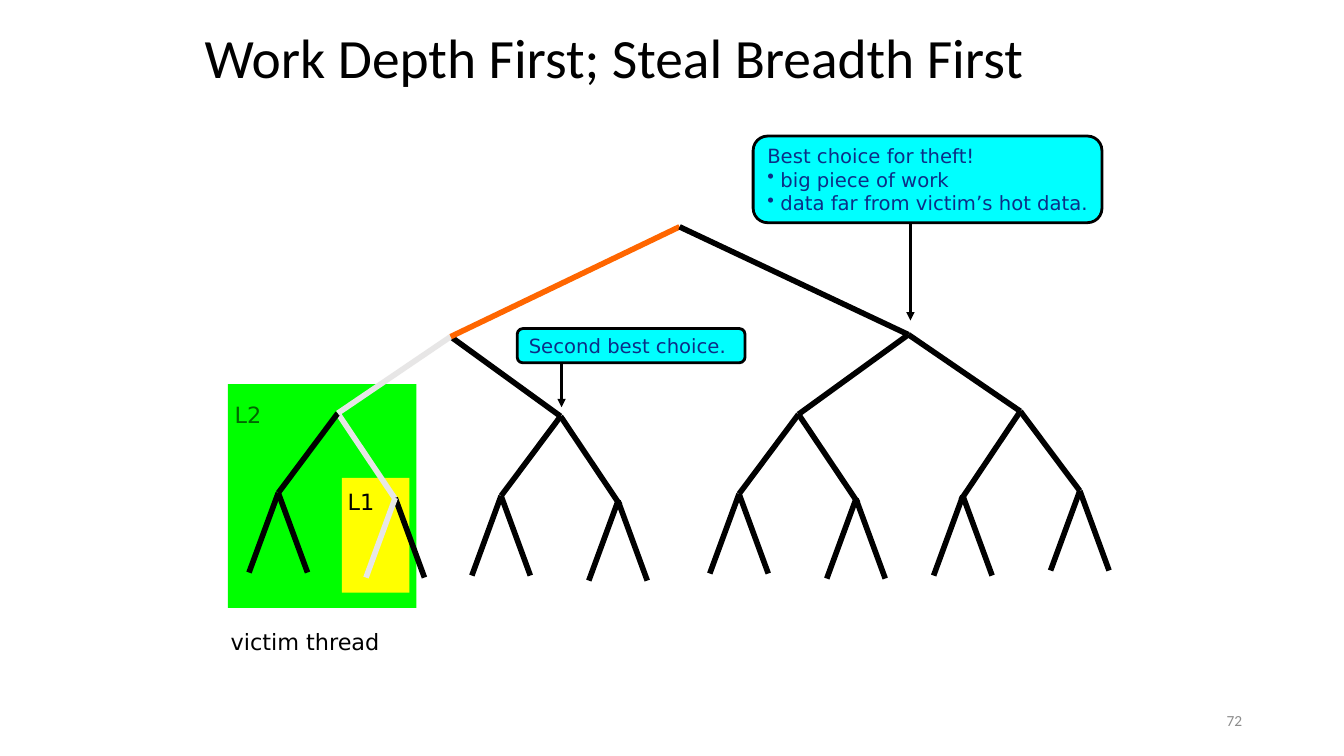
from pptx import Presentation
from pptx import util as u
from pptx.dml.color import RGBColor
from pptx.enum import shapes, text
from pptx.oxml import ns
from lxml import etree

BLACK, PALE, ORANGE = "000000", "E7E6E6", "FF6600"
BODY_FONT = "DejaVu Sans"


def color(value):
    """Turn a hex string into a colour."""
    return RGBColor.from_string(value)


def style(paragraph, size, hue, font=BODY_FONT):
    """Set the font of a whole paragraph."""
    paragraph.font.size = u.Pt(size)
    paragraph.font.name = font
    paragraph.font.color.rgb = color(hue)


def edge(slide, start, end, hue=BLACK, width=4, arrow=False):
    """Draw a straight line, with an arrowhead at its end if asked."""
    points = [u.Inches(v) for v in (*start, *end)]
    line = slide.shapes.add_connector(shapes.MSO_CONNECTOR.STRAIGHT, *points)
    line.line.color.rgb = color(hue)
    line.line.width = u.Pt(width)
    if arrow:
        outline = line.line._get_or_add_ln()
        etree.SubElement(outline, ns.qn("a:tailEnd"), type="triangle")
    etree.SubElement(line._element.spPr, ns.qn("a:effectLst"))


def fork(slide, x, y, left_hue=BLACK):
    """Draw the two leaf edges below a node."""
    edge(slide, (x, y), (x + 0.29, y + 0.79))
    edge(slide, (x, y), (x - 0.29, y + 0.79), left_hue)


def subtree(slide, x, y, long_side=1, victim_hue=BLACK):
    """Draw a subtree whose branch on long_side reaches slightly lower."""
    edge(slide, (x, y), (x + 0.59 * long_side, y + 0.88), victim_hue)
    edge(slide, (x, y), (x - 0.59 * long_side, y + 0.79))
    fork(slide, x - 0.59 * long_side, y + 0.79)
    fork(slide, x + 0.57 * long_side, y + 0.84, victim_hue)


def block(slide, kind, box, fill):
    """Add a filled shape without outline or shadow."""
    shape = slide.shapes.add_shape(kind, *[u.Inches(v) for v in box])
    shape.shadow.inherit = False
    shape.fill.solid()
    shape.fill.fore_color.rgb = color(fill)
    shape.line.fill.background()
    return shape


def callout(slide, box, lines, arrow_x, arrow_tip):
    """Add a rounded callout, bulleted after its first line, with an arrow."""
    edge(slide, (arrow_x, box[1] + box[3]), (arrow_x, arrow_tip), width=2, arrow=True)
    bubble = block(slide, shapes.MSO_SHAPE.ROUNDED_RECTANGLE, box, "00FFFF")
    bubble.line.color.rgb = color(BLACK)
    bubble.line.width = u.Pt(2)
    frame = bubble.text_frame
    frame.word_wrap = False
    frame.vertical_anchor = text.MSO_ANCHOR.MIDDLE
    frame.text = "\n".join(lines)
    for index, paragraph in enumerate(frame.paragraphs):
        paragraph.alignment = text.PP_ALIGN.LEFT
        if index:
            props = paragraph._p.get_or_add_pPr()
            props.set("marL", str(u.Inches(0.13)))
            props.set("indent", str(u.Inches(-0.13)))
            etree.SubElement(props, ns.qn("a:buChar"), char="•")
        style(paragraph, 14, "0C2E86")


def label(slide, box, words, size=16, hue=BLACK, font=BODY_FONT):
    """Add a one-line text box and return it."""
    holder = slide.shapes.add_textbox(*[u.Inches(v) for v in box])
    holder.text_frame.word_wrap = True
    holder.text_frame.text = words
    style(holder.text_frame.paragraphs[0], size, hue, font)
    return holder


def heading(slide, words):
    """Place and format the slide title."""
    title = slide.shapes.title
    title.left, title.top = u.Inches(1.93), u.Inches(-0.02)
    title.width, title.height = u.Inches(8.67), u.Inches(1.25)
    title.text_frame.text = words
    title.text_frame.vertical_anchor = text.MSO_ANCHOR.MIDDLE
    paragraph = title.text_frame.paragraphs[0]
    paragraph.alignment = text.PP_ALIGN.LEFT
    paragraph.line_spacing = 0.9
    style(paragraph, 39.6, BLACK, "Calibri")


def work_tree(slide):
    """Draw the tree of work from the leaves up to the root."""
    root, left, right = (6.74, 2.25), (4.47, 3.34), (9.01, 3.32)
    victim, second, third, fourth = (3.35, 4.1), (5.56, 4.13), (7.92, 4.11), (10.12, 4.08)
    subtree(slide, *victim, victim_hue=PALE)
    subtree(slide, *second)
    subtree(slide, *third)
    subtree(slide, *fourth, long_side=-1)
    edge(slide, left, second)
    edge(slide, left, victim, PALE)
    edge(slide, right, third)
    edge(slide, right, fourth)
    edge(slide, root, left, ORANGE)
    edge(slide, root, right)


def main():
    """Build and save the slide."""
    deck = Presentation()
    deck.slide_width, deck.slide_height = u.Inches(13.33), u.Inches(7.5)
    slide = deck.slides.add_slide(deck.slide_layouts[5])
    heading(slide, "Work Depth First; Steal Breadth First")
    block(slide, shapes.MSO_SHAPE.RECTANGLE, (2.26, 3.81, 1.87, 2.22), "00FF00")
    block(slide, shapes.MSO_SHAPE.RECTANGLE, (3.39, 4.74, 0.67, 1.14), "FFFF00")
    work_tree(slide)
    label(slide, (3.35, 4.79, 0.57, 0.37), "L1")
    label(slide, (2.23, 3.93, 0.57, 0.37), "L2", hue="006600")
    label(slide, (2.19, 6.18, 2.03, 0.37), "victim thread")
    best = ["Best choice for theft!", "big piece of work", "data far from victim’s hot data."]
    callout(slide, (7.47, 1.35, 3.46, 0.86), best, 9.03, 3.18)
    callout(slide, (5.13, 3.26, 2.26, 0.34), ["Second best choice."], 5.57, 4.04)
    number = label(slide, (9.42, 6.95, 3, 0.4), "72", 11, "8C8C8C", "Calibri")
    number.text_frame.vertical_anchor = text.MSO_ANCHOR.MIDDLE
    number.text_frame.paragraphs[0].alignment = text.PP_ALIGN.RIGHT
    deck.save("out.pptx")


if __name__ == "__main__":
    main()
